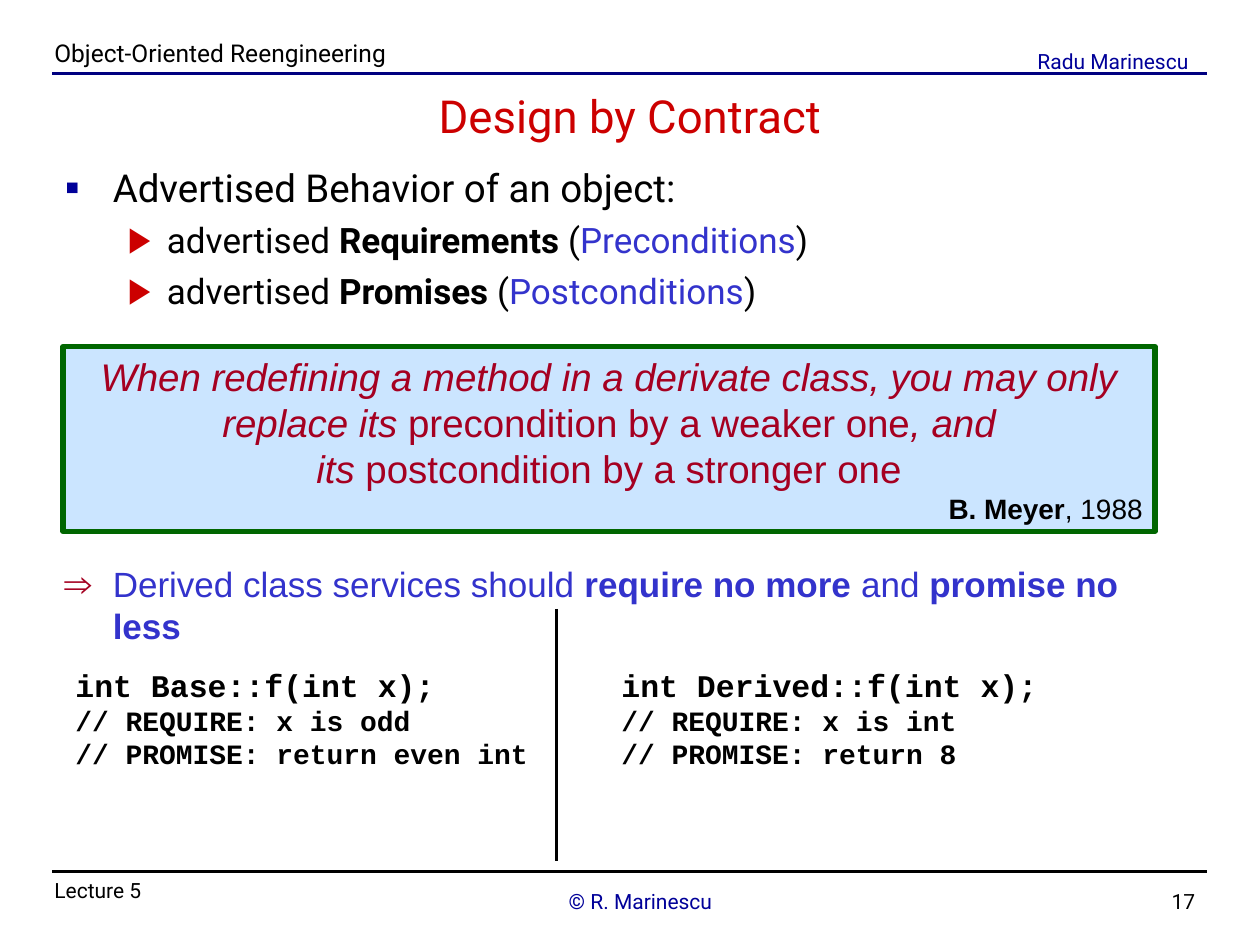
from lxml.etree import SubElement
from pptx import Presentation
from pptx.dml.color import RGBColor
from pptx.enum.shapes import MSO_CONNECTOR as CONN, MSO_SHAPE as SHAPE
from pptx.enum.text import MSO_ANCHOR as ANCHOR, PP_ALIGN as ALIGN
from pptx.oxml.ns import qn
from pptx.util import Inches, Pt

COLS, ROWS = 120, 90
BLACK, NAVY, RED, BLUE, WINE = "000000", "000099", "CC0000", "3333CC", "A50021"
L, C, R = ALIGN.LEFT, ALIGN.CENTER, ALIGN.RIGHT


def rgb(value):
    return RGBColor.from_string(value)


def run(text, **fmt):
    return text, fmt


def para(*runs, **fmt):
    return runs, fmt


class Deck:
    """Places elements on a grid of 120 columns and 90 rows."""

    def __init__(self, font):
        self.prs = Presentation()
        self.prs.slide_width, self.prs.slide_height = Inches(10), Inches(7.5)
        self.font = font
        self.s = self.prs.slides.add_slide(self.prs.slide_layouts[6])

    def grid(self, *lengths):
        units = self.prs.slide_width / COLS, self.prs.slide_height / ROWS
        return [round(n * units[i % 2]) for i, n in enumerate(lengths)]

    def line(self, x1, y1, x2, y2, color=BLACK, width=2):
        ln = self.s.shapes.add_connector(CONN.STRAIGHT, *self.grid(x1, y1, x2, y2))
        ln.line.color.rgb, ln.line.width = rgb(color), Pt(width)
        SubElement(ln._element.spPr, qn("a:effectLst"))

    def text(self, box, *paras, anchor=ANCHOR.TOP, **fmt):
        sp = self.s.shapes.add_textbox(*self.grid(*box))
        self.fill_text(sp.text_frame, paras, anchor, fmt)

    def panel(self, box, *paras, fill, alpha, line, width, **fmt):
        sp = self.s.shapes.add_shape(SHAPE.RECTANGLE, *self.grid(*box))
        sp.shadow.inherit = False
        sp.fill.solid()
        sp.fill.fore_color.rgb = rgb(fill)
        clr = sp._element.spPr.find(qn("a:solidFill")).find(qn("a:srgbClr"))
        SubElement(clr, qn("a:alpha"), val=str(alpha * 1000))
        sp.line.color.rgb, sp.line.width = rgb(line), Pt(width)
        self.fill_text(sp.text_frame, paras, ANCHOR.TOP, fmt)

    def fill_text(self, tf, paras, anchor, base):
        tf.word_wrap, tf.vertical_anchor = True, anchor
        for i, (runs, own) in enumerate(paras):
            p = tf.paragraphs[0] if i == 0 else tf.add_paragraph()
            fmt = {**base, **own}
            p.alignment = fmt.get("align", L)
            p.space_before = Pt(fmt.get("before", 0))
            if "bullet" in fmt:
                self.bullet(p, *fmt["bullet"])
            for text, extra in runs:
                self.add_run(p, text, **{**fmt, **extra})

    def add_run(self, p, text, size=12, color=BLACK, font=None,
                bold=False, italic=False, **_):
        r = p.add_run()
        r.text = text
        f = r.font
        f.name, f.size, f.color.rgb = font or self.font, Pt(size), rgb(color)
        f.bold, f.italic = bold, italic

    def bullet(self, p, char, color, percent, left, hang):
        pPr = p._p.get_or_add_pPr()
        pPr.set("marL", str(Inches(left)))
        pPr.set("indent", str(-Inches(hang)))
        SubElement(SubElement(pPr, qn("a:buClr")), qn("a:srgbClr"), val=color)
        SubElement(pPr, qn("a:buSzPct"), val=str(percent * 1000))
        SubElement(pPr, qn("a:buFont"), typeface="Arial")
        SubElement(pPr, qn("a:buChar"), char=char)


d = Deck("Roboto")

# Header and footer
d.line(5, 83, 115, 83, width=1.25)
d.line(5, 7, 115, 7, color="000080")
for box, label, fmt in [
    ((90, 84, 25, 3), "17", dict(align=R)),
    ((4, 3, 109, 3), "Object-Oriented Reengineering", dict(size=14)),
    ((35, 84, 52, 4), "© R. Marinescu", dict(align=C, color=NAVY)),
    ((4, 83, 22, 3), "Lecture 5", {}),
    ((96, 4, 20, 2), "Radu Marinescu", dict(align=C, color=NAVY)),
]:
    d.text(box, para(run(label)), **fmt)

# Title
d.text((5, 8, 110, 6), para(run("Design by Contract")),
       anchor=ANCHOR.MIDDLE, align=C, size=26, color=RED)

# Advertised behaviour
sub = dict(size=20, before=5, bullet=("▶", RED, 100, 0.81, 0.31))
d.text((5, 15, 110, 17),
       para(run("Advertised Behavior of an object:"), size=22, before=5.5,
            bullet=("▪", NAVY, 110, 0.38, 0.38)),
       *[para(run("advertised "), run(term, bold=True), run(" ("),
              run(kind, color=BLUE), run(")"), **sub)
         for term, kind in [("Requirements", "Preconditions"),
                            ("Promises", "Postconditions")]])

# Quotation
d.panel((6, 33, 104, 17.6),
        para(run("When redefining a method in a derivate class, "
                 "you may only replace its ", italic=True),
             run("precondition by a weaker one"), run(", and", italic=True)),
        para(run("its ", italic=True), run("postcondition by a stronger one")),
        para(run("B. Meyer", bold=True), run(", 1988"),
             align=R, size=16, color=BLACK),
        fill="99CCFF", alpha=50, line="006600", width=3,
        align=C, size=22, color=WINE, font="Arial")

# Conclusion
d.text((5, 53, 110, 6),
       para(run("Derived class services should "), run("require no more", bold=True),
            run(" and "), run("promise no less", bold=True)),
       size=20, color=BLUE, font="Arial", before=5,
       bullet=("⇒", WINE, 110, 0.38, 0.38))

# Code of the two classes
d.line(53, 58, 53, 82)
for col, name, require, promise in [(6, "Base", "x is odd", "return even int"),
                                    (58, "Derived", "x is int", "return 8")]:
    d.text((col, 62.8, 45.8, 11.3),
           para(run(f"int {name}::f(int x);"), size=18),
           para(run(f"// REQUIRE: {require}")),
           para(run(f"// PROMISE: {promise}")),
           size=16, font="Courier New", bold=True)

d.prs.save("out.pptx")
